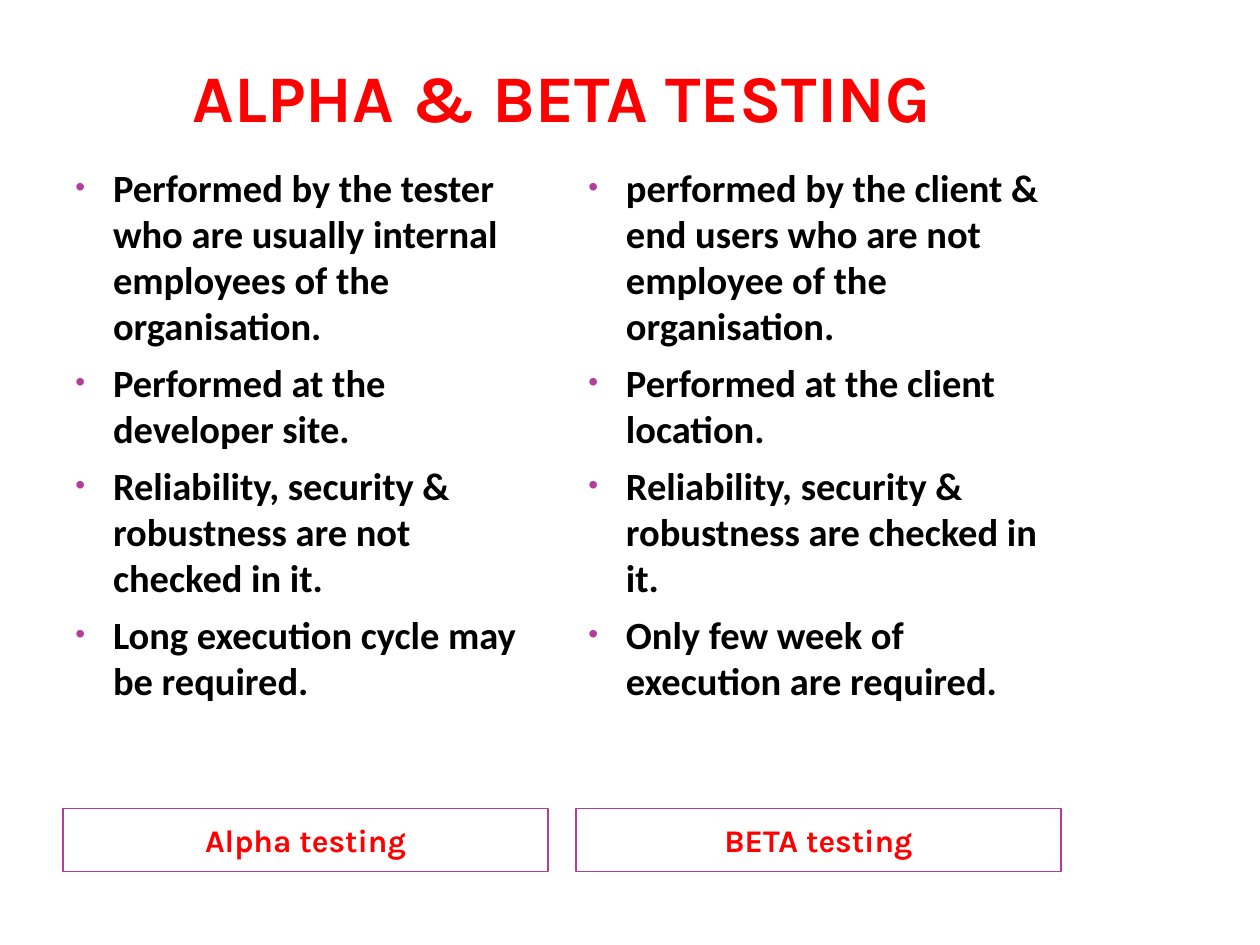
"""Build a slide that compares alpha and beta testing."""
from dataclasses import dataclass

from lxml import etree
from pptx import Presentation
from pptx.dml.color import RGBColor
from pptx.enum.shapes import MSO_SHAPE
from pptx.enum.text import MSO_ANCHOR, PP_ALIGN
from pptx.oxml.ns import qn
from pptx.util import Cm, Pt

RECTANGLE = MSO_SHAPE.RECTANGLE
BOTTOM, MIDDLE, TOP = MSO_ANCHOR.BOTTOM, MSO_ANCHOR.MIDDLE, MSO_ANCHOR.TOP
CENTER, LEFT = PP_ALIGN.CENTER, PP_ALIGN.LEFT
RED, BLACK, PURPLE = "FF0000", "000000", "B13F9A"
HEADING_FONT, BODY_FONT = "Karla", "Calibri"
MARGIN = 1.27
LABEL_WIDTH = 9.78
BULLET_INDENT = Cm(0.76)


@dataclass(frozen=True)
class Column:
    """A kind of testing with its points and place in centimetres."""

    label: str
    left: float
    points_width: float
    points: tuple[str, ...]


COLUMNS = (
    Column("Alpha testing", MARGIN, 9.96, (
        "Performed by the tester who are usually internal employees of the organisation.",
        "Performed at the developer site.",
        "Reliability, security & robustness are not checked in it.",
        "Long execution cycle may be required.",
    )),
    Column("BETA testing", 11.61, LABEL_WIDTH, (
        "performed by the client & end users who are not employee of the organisation.",
        "Performed at the client location.",
        "Reliability, security & robustness are checked in it.",
        "Only few week of execution are required.",
    )),
)


def color(value: str) -> RGBColor:
    """Turn a hex string into a colour."""
    return RGBColor.from_string(value)


def prepare_frame(frame, anchor) -> None:
    """Wrap the text and set its vertical anchor."""
    frame.word_wrap = True
    frame.vertical_anchor = anchor


def write(paragraph, text: str, font: str, size: float, ink: str, align) -> None:
    """Add one bold run to a paragraph."""
    paragraph.alignment = align
    run = paragraph.add_run()
    run.text = text
    run.font.name = font
    run.font.size = Pt(size)
    run.font.bold = True
    run.font.color.rgb = color(ink)


def add_bullet(paragraph) -> None:
    """Give a paragraph a small purple bullet and a hanging indent."""
    properties = paragraph._p.get_or_add_pPr()
    properties.set("marL", str(BULLET_INDENT))
    properties.set("indent", str(-BULLET_INDENT))
    bullet_color = etree.SubElement(properties, qn("a:buClr"))
    etree.SubElement(bullet_color, qn("a:srgbClr"), val=PURPLE)
    etree.SubElement(properties, qn("a:buSzPct"), val="73000")
    etree.SubElement(properties, qn("a:buFont"), typeface="Arial")
    etree.SubElement(properties, qn("a:buChar"), char="•")


def draw_title(slide, text: str) -> None:
    """Draw the slide title."""
    title = slide.shapes.add_textbox(Cm(MARGIN), Cm(0.89), Cm(20.12), Cm(1.85))
    frame = title.text_frame
    prepare_frame(frame, BOTTOM)
    frame.margin_left = frame.margin_right = Cm(0.13)
    frame.margin_top = frame.margin_bottom = 0
    write(frame.paragraphs[0], text, HEADING_FONT, 38, RED, CENTER)


def draw_label(slide, column: Column) -> None:
    """Draw the outlined label below a column."""
    label = slide.shapes.add_shape(
        RECTANGLE, Cm(column.left), Cm(16.3), Cm(LABEL_WIDTH), Cm(1.27))
    label.shadow.inherit = False
    label.fill.background()
    label.line.color.rgb = color(PURPLE)
    label.line.width = Pt(1)
    prepare_frame(label.text_frame, MIDDLE)
    paragraph = label.text_frame.paragraphs[0]
    paragraph.space_before = Pt(6)
    write(paragraph, column.label, HEADING_FONT, 18, RED, CENTER)


def draw_points(slide, column: Column) -> None:
    """Draw the bulleted points of a column."""
    points = slide.shapes.add_textbox(
        Cm(column.left), Cm(3.18), Cm(column.points_width), Cm(13))
    frame = points.text_frame
    prepare_frame(frame, TOP)
    for index, point in enumerate(column.points):
        paragraph = frame.add_paragraph() if index else frame.paragraphs[0]
        paragraph.space_before = Pt(6)
        add_bullet(paragraph)
        write(paragraph, point, BODY_FONT, 22, BLACK, LEFT)


def main() -> None:
    """Build and save the slide."""
    deck = Presentation()
    deck.slide_width, deck.slide_height = Cm(25.4), Cm(19.05)
    slide = deck.slides.add_slide(deck.slide_layouts[6])
    draw_title(slide, "ALPHA & BETA TESTING")
    for column in COLUMNS:
        draw_label(slide, column)
        draw_points(slide, column)
    deck.save("out.pptx")


main()
